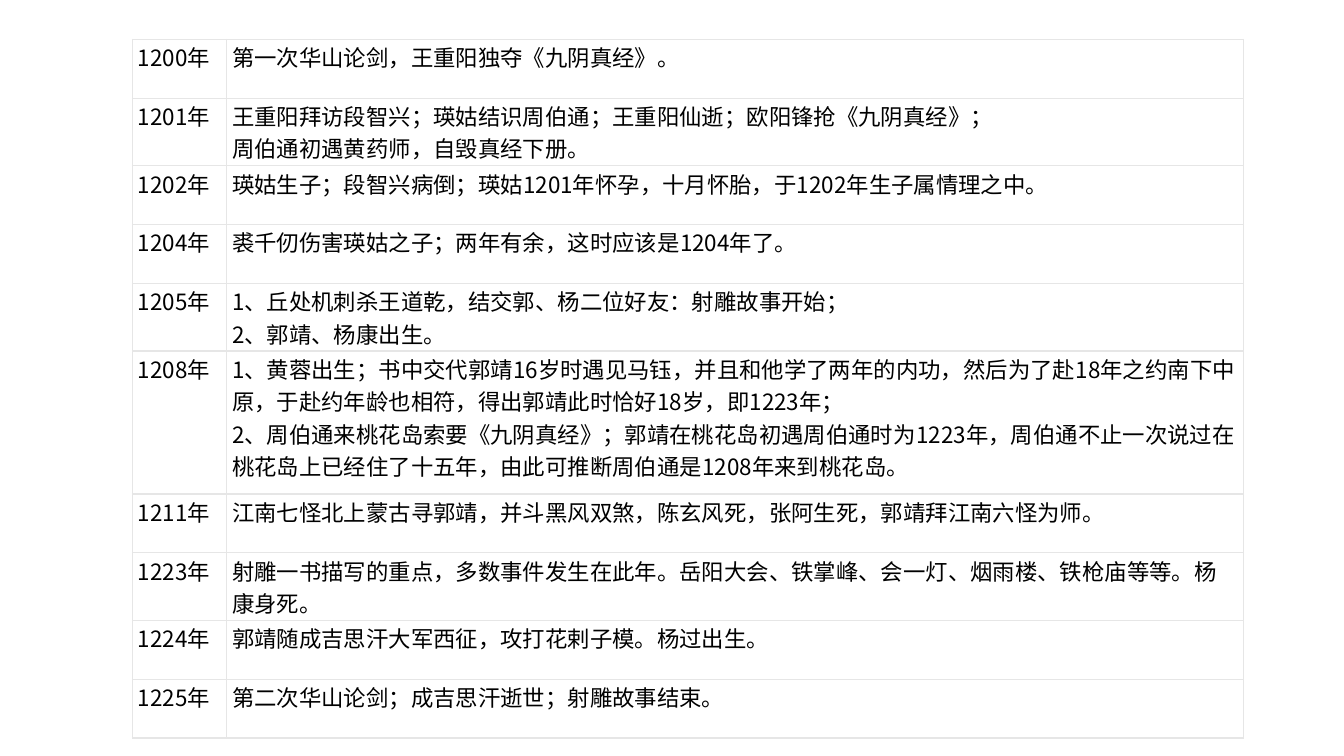
from lxml.etree import SubElement
from pptx import Presentation
from pptx.dml.color import RGBColor
from pptx.oxml.ns import qn
from pptx.util import Pt

BLACK = RGBColor(0x00, 0x00, 0x00)
WHITE = RGBColor(0xFF, 0xFF, 0xFF)
BORDER_GREY = RGBColor(0xE6, 0xE6, 0xE6)
FONT_NAME = "Noto Sans CJK SC"

TABLE_LEFT, TABLE_TOP = 71, 21.15
COLUMN_WIDTHS = (50.4, 544.8)
ROW_HEIGHT, TALL_ROW_HEIGHT = 31.5, 76.7
TALL_YEAR = "1208年"

EVENTS = [
    ("1200年", ["第一次华山论剑，王重阳独夺《九阴真经》。"]),
    ("1201年", [
        "王重阳拜访段智兴；瑛姑结识周伯通；王重阳仙逝；欧阳锋抢《九阴真经》；",
        "周伯通初遇黄药师，自毁真经下册。",
    ]),
    ("1202年", ["瑛姑生子；段智兴病倒；瑛姑1201年怀孕，十月怀胎，于1202年生子属情理之中。"]),
    ("1204年", ["裘千仞伤害瑛姑之子；两年有余，这时应该是1204年了。"]),
    ("1205年", [
        "1、丘处机刺杀王道乾，结交郭、杨二位好友：射雕故事开始；",
        "2、郭靖、杨康出生。",
    ]),
    (TALL_YEAR, [
        "1、黄蓉出生；书中交代郭靖16岁时遇见马钰，并且和他学了两年的内功，"
        "然后为了赴18年之约南下中原，于赴约年龄也相符，得出郭靖此时恰好18岁，即1223年；",
        "2、周伯通来桃花岛索要《九阴真经》；郭靖在桃花岛初遇周伯通时为1223年，"
        "周伯通不止一次说过在桃花岛上已经住了十五年，由此可推断周伯通是1208年来到桃花岛。",
    ]),
    ("1211年", ["江南七怪北上蒙古寻郭靖，并斗黑风双煞，陈玄风死，张阿生死，郭靖拜江南六怪为师。"]),
    ("1223年", [
        "射雕一书描写的重点，多数事件发生在此年。"
        "岳阳大会、铁掌峰、会一灯、烟雨楼、铁枪庙等等。杨康身死。",
    ]),
    ("1224年", ["郭靖随成吉思汗大军西征，攻打花剌子模。杨过出生。"]),
    ("1225年", ["第二次华山论剑；成吉思汗逝世；射雕故事结束。"]),
]


def write_text(text_frame, lines, size=12, color=BLACK, font_name=FONT_NAME):
    for index, line in enumerate(lines):
        paragraph = text_frame.paragraphs[0] if index == 0 else text_frame.add_paragraph()
        run = paragraph.add_run()
        run.text = line
        run.font.size = Pt(size)
        run.font.bold = False
        run.font.color.rgb = color
        run.font.name = font_name
        SubElement(run.font._element, qn("a:ea"), typeface=font_name)


def set_borders(cell, color=BORDER_GREY, width=0.75):
    properties = cell._tc.get_or_add_tcPr()
    for index, side in enumerate(("a:lnL", "a:lnR", "a:lnT", "a:lnB")):
        line = SubElement(properties, qn(side), w=str(Pt(width)))
        fill = SubElement(line, qn("a:solidFill"))
        SubElement(fill, qn("a:srgbClr"), val=str(color))
        properties.insert(index, line)


def format_cell(cell, lines):
    cell.margin_left = cell.margin_right = Pt(2.9)
    cell.margin_top = cell.margin_bottom = Pt(0.7)
    cell.fill.solid()
    cell.fill.fore_color.rgb = WHITE
    set_borders(cell)
    write_text(cell.text_frame, lines)


def add_timeline(slide, events):
    heights = [TALL_ROW_HEIGHT if year == TALL_YEAR else ROW_HEIGHT for year, _ in events]
    shape = slide.shapes.add_table(
        len(events), len(COLUMN_WIDTHS), Pt(TABLE_LEFT), Pt(TABLE_TOP),
        Pt(sum(COLUMN_WIDTHS)), Pt(sum(heights)))
    table = shape.table
    table.first_row = table.horz_banding = False
    for column, width in zip(table.columns, COLUMN_WIDTHS):
        column.width = Pt(width)
    for row, height, (year, descriptions) in zip(table.rows, heights, events):
        row.height = Pt(height)
        format_cell(row.cells[0], [year])
        format_cell(row.cells[1], descriptions)


def main():
    presentation = Presentation()
    presentation.slide_width = Pt(720)
    presentation.slide_height = Pt(405)
    slide = presentation.slides.add_slide(presentation.slide_layouts[6])
    add_timeline(slide, EVENTS)
    presentation.save("out.pptx")


if __name__ == "__main__":
    main()
